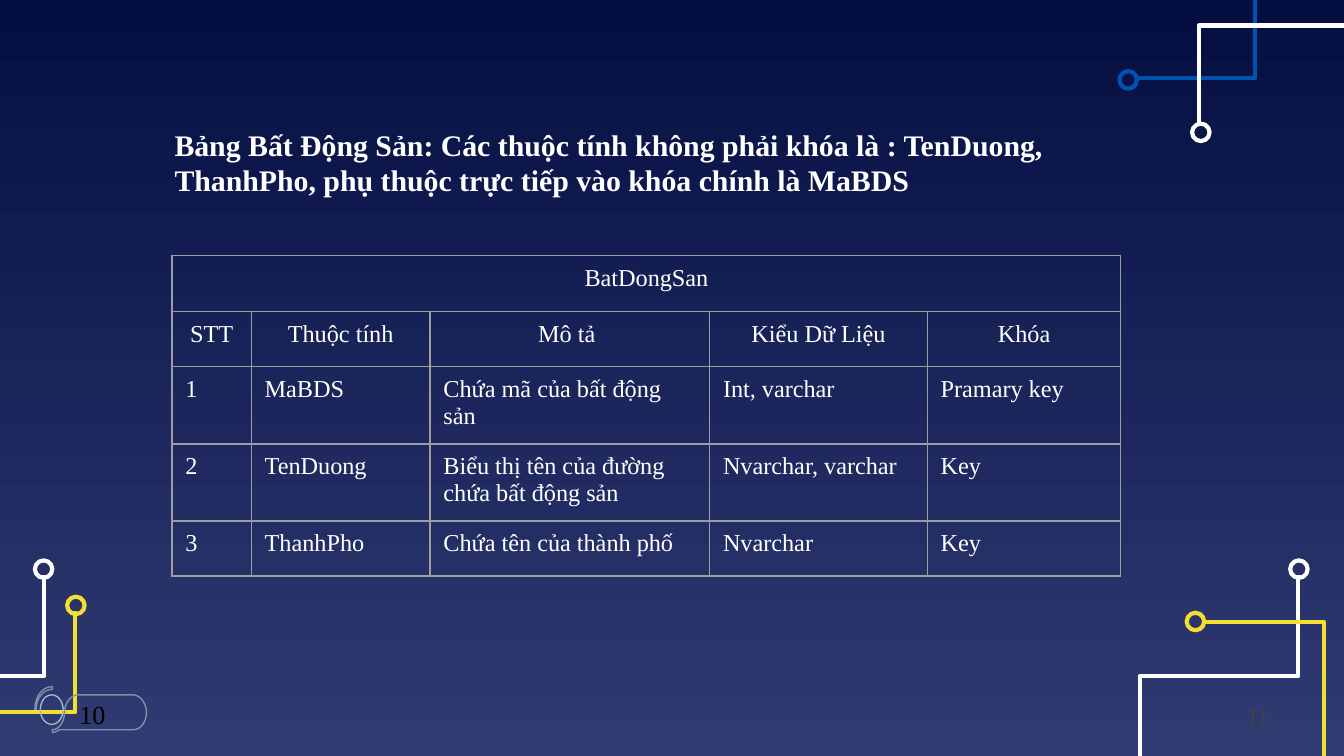
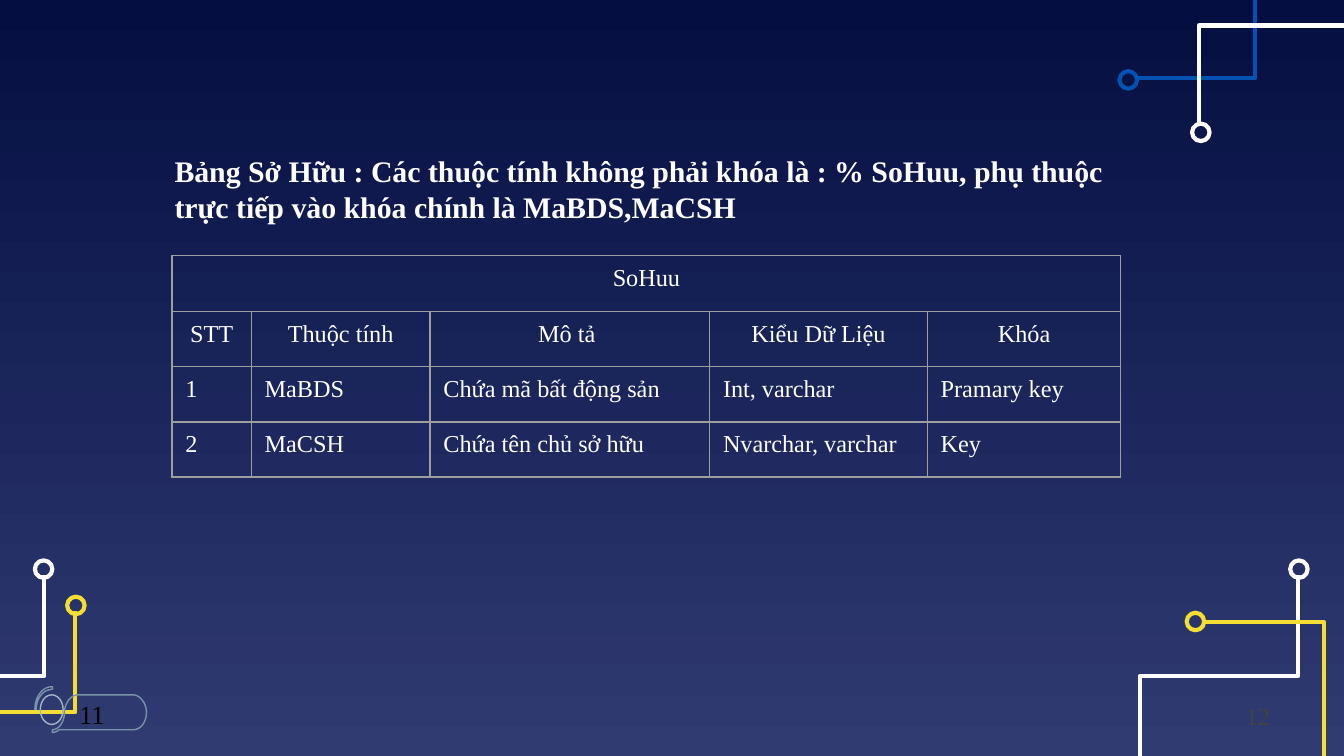
"""Build two slides that describe the attributes of database tables."""
from lxml import etree
from pptx import Presentation
from pptx.dml.color import RGBColor
from pptx.enum.shapes import MSO_SHAPE
from pptx.enum.text import MSO_ANCHOR, PP_ALIGN
from pptx.oxml.ns import qn
from pptx.util import Inches, Pt

OVAL = MSO_SHAPE.OVAL
MIDDLE = MSO_ANCHOR.MIDDLE
LEFT, CENTER = PP_ALIGN.LEFT, PP_ALIGN.CENTER
FONT = "Times New Roman"
C = {
    "top": "040E41", "bottom": "303B72", "white": "FFFFFF", "blue": "0152B1",
    "yellow": "F5DE34", "border": "9E9E9E", "badge": "7994A9",
    "badge_light": "A5B7C5", "black": "000000", "grey": "434343",
}

TRACES = [
    ("white", [(9.66, 4.28), (9.66, 5.03), (8.48, 5.03), (8.48, 5.72)], (9.6, 4.17)),
    ("blue", [(8.45, 0.58), (9.34, 0.58), (9.34, -0.52)], (8.33, 0.53)),
    ("white", [(8.92, 0.93), (8.92, 0.19), (10.11, 0.19), (10.11, -0.52)], (8.87, 0.92)),
    ("yellow", [(8.94, 4.63), (9.85, 4.63), (9.85, 5.71)], (8.83, 4.56)),
    ("white", [(0.33, 4.28), (0.33, 5.03), (-0.86, 5.03), (-0.86, 5.72)], (0.26, 4.17)),
    ("yellow", [(0.56, 4.55), (0.56, 5.3), (-0.63, 5.3), (-0.63, 5.98)], (0.5, 4.44)),
]
BADGE_ARC = [(0.39, 5.11), (0.31, 5.11, 0.26, 5.19, 0.26, 5.28), (0.27, 5.28),
             (0.27, 5.2, 0.32, 5.13, 0.39, 5.13)]
BADGE_PILL = [(0.58, 5.17), (0.53, 5.17, 0.48, 5.23, 0.48, 5.3),
              (0.48, 5.37, 0.44, 5.43, 0.39, 5.43), (0.39, 5.45),
              (0.41, 5.45, 0.43, 5.44, 0.44, 5.43), (0.99, 5.43),
              (1.05, 5.43, 1.09, 5.37, 1.09, 5.3), (1.09, 5.23, 1.04, 5.17, 0.99, 5.17)]

COLS = [0.59, 1.33, 2.08, 1.62, 1.44]
HEADER = ["STT", "Thuộc tính", "Mô tả ", "Kiểu Dữ Liệu", "Khóa"]
SLIDES = [
    {"title": "Bảng Bất Động Sản: Các thuộc tính không phải khóa là : TenDuong, "
              "ThanhPho, phụ thuộc trực tiếp vào khóa chính là MaBDS",
     "top": 0.89, "badge": "10", "number": "11", "table": "BatDongSan",
     "rows": [["1", "MaBDS", "Chứa mã của bất động sản", "Int, varchar", "Pramary key"],
              ["2", "TenDuong", "Biểu thị tên của đường chứa bất động sản",
               "Nvarchar, varchar", "Key"],
              ["3", "ThanhPho", "Chứa tên của thành phố", "Nvarchar", "Key"]]},
    {"title": "Bảng Sở Hữu : Các thuộc tính không phải khóa là : % SoHuu, phụ thuộc "
              "trực tiếp vào khóa chính là MaBDS,MaCSH",
     "top": 1.09, "badge": "11", "number": "12", "table": "SoHuu",
     "rows": [["1", "MaBDS", "Chứa mã bất động sản", "Int, varchar", "Pramary key"],
              ["2", "MaCSH", "Chứa tên chủ sở hữu", "Nvarchar, varchar", "Key"]]},
]


def outline(s, path, color, width, close):
    """Draw an unfilled outline; six-number steps are Bézier curves."""
    pts = [path[0]]
    for step in path[1:]:
        if len(step) == 2:
            pts.append(step)
            continue
        x0, y0 = pts[-1]
        x1, y1, x2, y2, x3, y3 = step
        for t in [i / 10 for i in range(1, 11)]:
            a, b, c, d = (1 - t) ** 3, 3 * t * (1 - t) ** 2, 3 * t * t * (1 - t), t ** 3
            pts.append((a * x0 + b * x1 + c * x2 + d * x3,
                        a * y0 + b * y1 + c * y2 + d * y3))
    pts = [(Inches(x), Inches(y)) for x, y in pts]
    fb = s.shapes.build_freeform(*pts[0])
    fb.add_line_segments(pts[1:], close=close)
    sp = fb.convert_to_shape()
    sp.shadow.inherit = False
    sp.fill.background()
    sp.line.color.rgb = RGBColor.from_string(C[color])
    sp.line.width = Pt(width)
    return sp


def write(tf, text, size, color, bold=False, align=LEFT):
    """Put one styled paragraph in a text frame."""
    tf.text = text
    p = tf.paragraphs[0]
    p.alignment = align
    for r in p.runs:
        r.font.name, r.font.size, r.font.bold = FONT, Pt(size), bold
        r.font.color.rgb = RGBColor.from_string(C[color])


prs = Presentation()
prs.slide_width, prs.slide_height = Inches(10), Inches(5.625)

for data in SLIDES:
    s = prs.slides.add_slide(prs.slide_layouts[6])
    fill = s.background.fill
    fill.gradient()
    fill.gradient_angle = 270
    for stop, name, pos in zip(fill.gradient_stops, ("top", "bottom"), (0, 1)):
        stop.color.rgb = RGBColor.from_string(C[name])
        stop.position = pos

    rings = [(color, 2.25, (*ring, 0.13, 0.13)) for color, _, ring in TRACES]
    for color, path, _ in TRACES:
        outline(s, path, color, 2.25, False)
    for color, width, box in rings + [("badge_light", 0.75, (0.3, 5.17, 0.17, 0.22))]:
        sp = s.shapes.add_shape(OVAL, *[Inches(v) for v in box])
        sp.shadow.inherit = False
        sp.fill.background()
        sp.line.color.rgb = RGBColor.from_string(C[color])
        sp.line.width = Pt(width)

    tb = s.shapes.add_textbox(Inches(1.2), Inches(data["top"]), Inches(7.39), Inches(0.64))
    tb.text_frame.word_wrap = True
    write(tb.text_frame, data["title"], 16, "white", True)

    grid = [[data["table"]] + [""] * 4, HEADER] + data["rows"]
    heights = [0.42] + [0.41] * (len(grid) - 1)
    gf = s.shapes.add_table(len(grid), len(COLS), Inches(1.28), Inches(1.9),
                            Inches(sum(COLS)), Inches(sum(heights)))
    table = gf.table
    table.first_row = table.horz_banding = False
    for col, width in zip(table.columns, COLS):
        col.width = Inches(width)
    for i, (row, height) in enumerate(zip(grid, heights)):
        table.rows[i].height = Inches(height)
        for j, text in enumerate(row):
            cell = table.cell(i, j)
            cell.margin_top = cell.margin_bottom = Inches(0.07)
            tcPr = cell._tc.get_or_add_tcPr()
            for side in ("a:lnL", "a:lnR", "a:lnT", "a:lnB"):
                ln = etree.SubElement(tcPr, qn(side), w=str(Pt(0.75)))
                solid = etree.SubElement(ln, qn("a:solidFill"))
                etree.SubElement(solid, qn("a:srgbClr"), val=C["border"])
            cell.fill.background()
            write(cell.text_frame, text, 13, "white", align=CENTER if i < 2 else LEFT)
    table.cell(0, 0).merge(table.cell(0, len(COLS) - 1))

    outline(s, BADGE_ARC, "badge", 0.75, True)
    tf = outline(s, BADGE_PILL, "badge", 0.75, True).text_frame
    tf.margin_left = Inches(0.2)
    tf.margin_right = tf.margin_top = tf.margin_bottom = 0
    tf.vertical_anchor = MIDDLE
    write(tf, data["badge"], 14, "black")

    tb = s.shapes.add_textbox(Inches(9.11), Inches(5.18), Inches(0.5), Inches(0.3))
    tb.text_frame.word_wrap = True
    tb.text_frame.vertical_anchor = MIDDLE
    write(tb.text_frame, data["number"], 13, "grey", align=CENTER)

prs.save("out.pptx")
